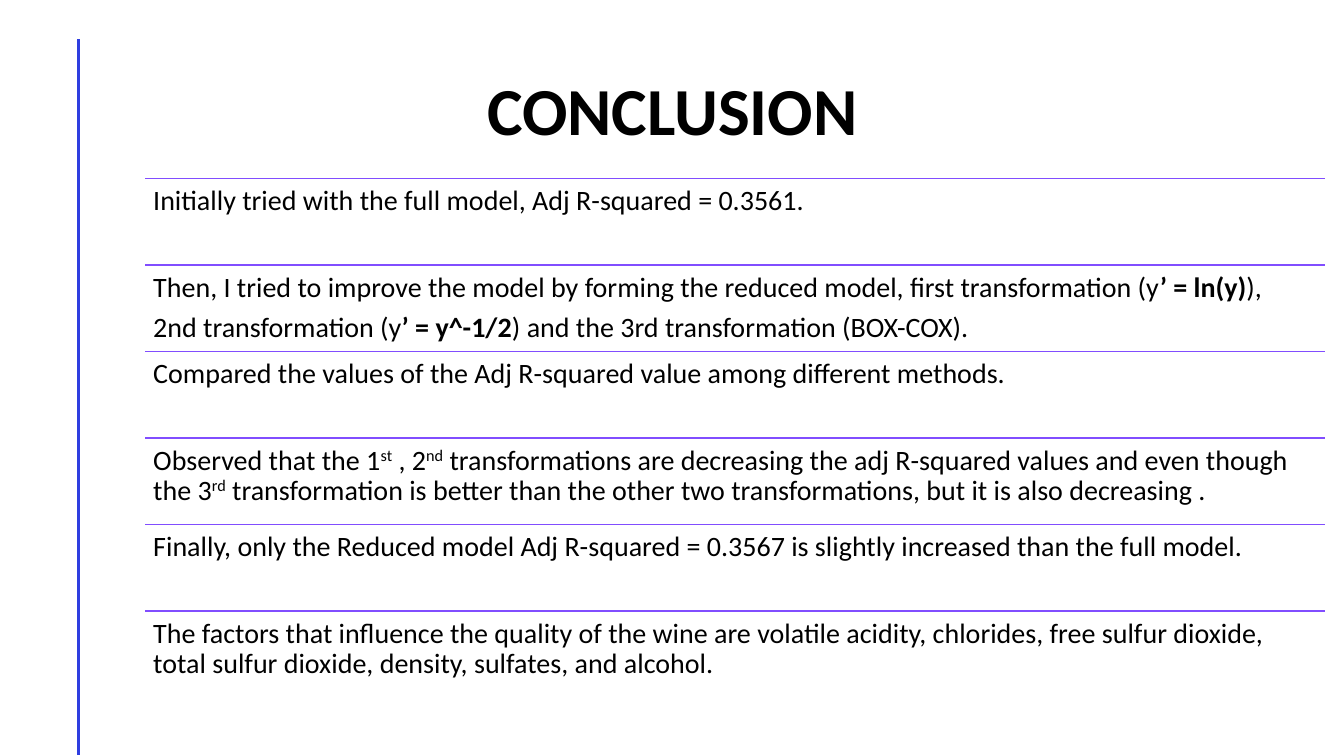
"""Build the conclusion slide: a title above six ruled statements."""
from lxml import etree
from pptx import Presentation
from pptx.dml.color import RGBColor
from pptx.enum.shapes import MSO_CONNECTOR
from pptx.enum.text import MSO_ANCHOR, PP_ALIGN
from pptx.oxml.ns import qn
from pptx.util import Inches, Pt

STRAIGHT = MSO_CONNECTOR.STRAIGHT
MIDDLE, TOP = MSO_ANCHOR.MIDDLE, MSO_ANCHOR.TOP
CENTER, LEFT = PP_ALIGN.CENTER, PP_ALIGN.LEFT
BLACK = RGBColor(0x00, 0x00, 0x00)
BLUE = RGBColor(0x2F, 0x3E, 0xE0)
VIOLET = RGBColor(0x81, 0x4D, 0xFF)
FONT = "Calibri"

ROW_LEFT, ROW_TOP = 1.44, 1.77
ROW_WIDTH, ROW_HEIGHT = 11.7, 0.858
INSET = Inches(0.08)

PLAIN, BOLD, SUPER = "plain", "bold", "super"
STATEMENTS = [
    [[("Initially tried with the full model, Adj R-squared = 0.3561.", PLAIN)]],
    [
        [
            ("Then, I tried to improve the model by forming the reduced model, "
             "first transformation (y", PLAIN),
            ("’ = ln(y)", BOLD),
            ("),", PLAIN),
        ],
        [
            ("2nd transformation (y", PLAIN),
            ("’ = y^-1/2", BOLD),
            (") and the 3rd transformation (BOX-COX).", PLAIN),
        ],
    ],
    [[("Compared the values of the Adj R-squared value among different methods.", PLAIN)]],
    [[
        ("Observed that the 1", PLAIN),
        ("st", SUPER),
        (" , 2", PLAIN),
        ("nd", SUPER),
        (" transformations are decreasing the adj R-squared values and even though the 3", PLAIN),
        ("rd", SUPER),
        (" transformation is better than the other two transformations, "
         "but it is also decreasing .", PLAIN),
    ]],
    [[("Finally, only the Reduced model Adj R-squared = 0.3567 is slightly increased "
       "than the full model.", PLAIN)]],
    [[("The factors that influence the quality of the wine are volatile acidity, chlorides, "
       "free sulfur dioxide, total sulfur dioxide, density, sulfates, and alcohol.", PLAIN)]],
]


def add_rule(slide, start, end, color, width):
    """Draw a straight line without a shadow."""
    ends = [Inches(value) for value in (*start, *end)]
    rule = slide.shapes.add_connector(STRAIGHT, *ends)
    rule.line.color.rgb = color
    rule.line.width = Pt(width)
    etree.SubElement(rule._element.spPr, qn("a:effectLst"))


def format_paragraph(paragraph, size, alignment):
    """Set the type and line spacing of a paragraph."""
    paragraph.alignment = alignment
    paragraph.line_spacing = 0.9
    paragraph.font.name = FONT
    paragraph.font.size = Pt(size)
    paragraph.font.color.rgb = BLACK


presentation = Presentation()
presentation.slide_width = Inches(13.33)
presentation.slide_height = Inches(7.5)
slide = presentation.slides.add_slide(presentation.slide_layouts[5])

add_rule(slide, (0.78, 0.39), (0.78, 7.49), BLUE, 2)

title = slide.shapes.title
title.left, title.top = Inches(0.92), Inches(0.4)
title.width, title.height = Inches(11.5), Inches(1.45)
title.text_frame.text = "CONCLUSION"
title.text_frame.vertical_anchor = MIDDLE
heading = title.text_frame.paragraphs[0]
format_paragraph(heading, 48, CENTER)
heading.font.bold = True

for row, statement in enumerate(STATEMENTS):
    top = ROW_TOP + row * ROW_HEIGHT
    add_rule(slide, (ROW_LEFT, top), (ROW_LEFT + ROW_WIDTH, top), VIOLET, 1)
    box = slide.shapes.add_textbox(
        Inches(ROW_LEFT), Inches(top), Inches(ROW_WIDTH), Inches(ROW_HEIGHT))
    frame = box.text_frame
    frame.word_wrap = True
    frame.vertical_anchor = TOP
    frame.margin_left = frame.margin_right = INSET
    frame.margin_top = frame.margin_bottom = INSET
    for index, pieces in enumerate(statement):
        paragraph = frame.add_paragraph() if index else frame.paragraphs[0]
        format_paragraph(paragraph, 20, LEFT)
        paragraph.space_after = Pt(7)
        for text, style in pieces:
            run = paragraph.add_run()
            run.text = text
            if style == BOLD:
                run.font.bold = True
            elif style == SUPER:
                run._r.get_or_add_rPr().set("baseline", "30000")

presentation.save("out.pptx")
